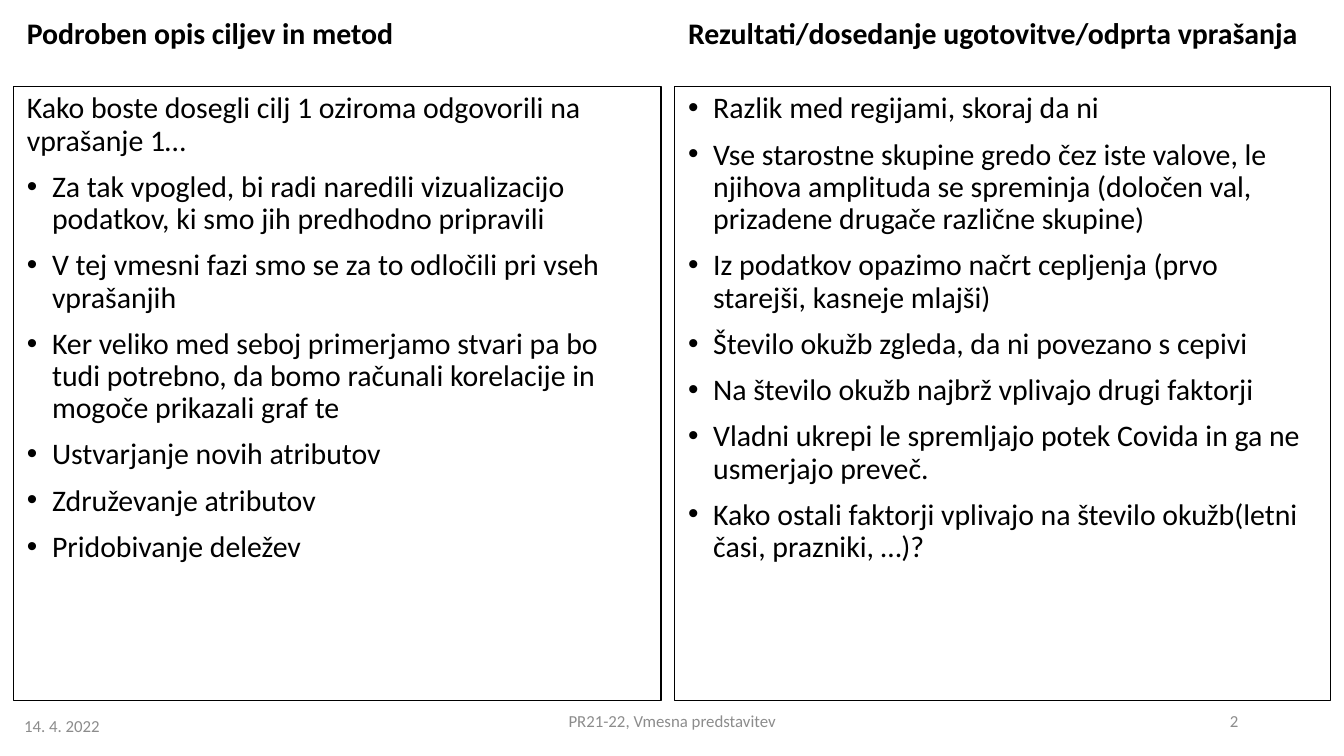
from dataclasses import dataclass

from lxml.etree import SubElement
from pptx import Presentation
from pptx.dml.color import RGBColor
from pptx.enum.text import MSO_ANCHOR as Anchor, MSO_AUTO_SIZE as AutoSize, PP_ALIGN as Align
from pptx.oxml.ns import qn
from pptx.util import Pt

BLACK = RGBColor(0x00, 0x00, 0x00)
GRAY = RGBColor(0x8C, 0x8C, 0x8C)
FONT = "Calibri"
INDENT = Pt(13.5)
HEADING_TOP, HEADING_HEIGHT = 6.5, 29.5
LIST_TOP, LIST_HEIGHT = 46.3, 329


@dataclass
class Column:
    left: float
    width: float
    heading: str
    bullets: list[str]
    intro: str = ""


@dataclass
class FooterItem:
    text: str
    left: float
    top: float
    width: float
    align: Align


COLUMNS = [
    Column(7.2, 347, "Podroben opis ciljev in metod", [
        "Za tak vpogled, bi radi naredili vizualizacijo podatkov, ki smo jih predhodno pripravili",
        "V tej vmesni fazi smo se za to odločili pri vseh vprašanjih",
        "Ker veliko med seboj primerjamo stvari pa bo tudi potrebno, da bomo računali "
        "korelacije in mogoče prikazali graf te",
        "Ustvarjanje novih atributov",
        "Združevanje atributov",
        "Pridobivanje deležev",
    ], intro="Kako boste dosegli cilj 1 oziroma odgovorili na vprašanje 1…"),
    Column(361.4, 351.4, "Rezultati/dosedanje ugotovitve/odprta vprašanja", [
        "Razlik med regijami, skoraj da ni",
        "Vse starostne skupine gredo čez iste valove, le njihova amplituda se spreminja "
        "(določen val, prizadene drugače različne skupine)",
        "Iz podatkov opazimo načrt cepljenja (prvo starejši, kasneje mlajši)",
        "Število okužb zgleda, da ni povezano s cepivi",
        "Na število okužb najbrž vplivajo drugi faktorji",
        "Vladni ukrepi le spremljajo potek Covida in ga ne usmerjajo preveč.",
        "Kako ostali faktorji vplivajo na število okužb(letni časi, prazniki, …)?",
    ]),
]

FOOTER = [
    FooterItem("14. 4. 2022", 5.8, 378, 296, Align.LEFT),
    FooterItem("PR21-22, Vmesna predstavitev", 238.5, 375.4, 243, Align.CENTER),
    FooterItem("2", 508.5, 375.4, 162, Align.RIGHT),
]


def place(box, left: float, top: float, width: float, height: float) -> None:
    box.left, box.top, box.width, box.height = Pt(left), Pt(top), Pt(width), Pt(height)


def style(para, size: float, color: RGBColor, bold: bool = False) -> None:
    for span in para.runs:
        span.font.name = FONT
        span.font.size = Pt(size)
        span.font.bold = bold
        span.font.color.rgb = color


def set_bullet(para, shown: bool) -> None:
    properties = para._p.get_or_add_pPr()
    properties.set("marL", str(INDENT if shown else 0))
    properties.set("indent", str(-INDENT if shown else 0))
    if shown:
        SubElement(properties, qn("a:buFont"), typeface="Arial")
        SubElement(properties, qn("a:buChar"), char="•")
    else:
        SubElement(properties, qn("a:buNone"))


def fill_text(box, lines: list[str], bold: bool = False, plain_lines: int = 0) -> None:
    """Write the lines as paragraphs; all after the plain ones get a bullet."""
    frame = box.text_frame
    frame.text = "\n".join(lines)
    frame.auto_size = AutoSize.NONE
    frame.vertical_anchor = Anchor.TOP
    for index, para in enumerate(frame.paragraphs):
        para.line_spacing = 0.9
        para.space_before = Pt(7.5)
        set_bullet(para, index >= plain_lines)
        style(para, 16, BLACK, bold)


def draw_column(column: Column, heading, body) -> None:
    place(heading, column.left, HEADING_TOP, column.width, HEADING_HEIGHT)
    fill_text(heading, [column.heading], bold=True, plain_lines=1)

    place(body, column.left, LIST_TOP, column.width, LIST_HEIGHT)
    body.line.color.rgb = BLACK
    body.line.width = Pt(0.75)
    intro = [column.intro] if column.intro else []
    fill_text(body, intro + column.bullets, plain_lines=len(intro))


def draw_footer(page, item: FooterItem) -> None:
    box = page.shapes.add_textbox(Pt(item.left), Pt(item.top), Pt(item.width), Pt(21.6))
    frame = box.text_frame
    frame.word_wrap = True
    frame.vertical_anchor = Anchor.MIDDLE
    frame.text = item.text
    para = frame.paragraphs[0]
    para.alignment = item.align
    style(para, 9, GRAY)


def main() -> None:
    deck = Presentation()
    deck.slide_width, deck.slide_height = Pt(720), Pt(405)

    # Comparison layout: two headings, each above a list
    page = deck.slides.add_slide(deck.slide_layouts[4])
    title, *boxes = page.placeholders
    title.element.getparent().remove(title.element)

    for column, heading, body in zip(COLUMNS, boxes[::2], boxes[1::2]):
        draw_column(column, heading, body)

    # Date, footer and page number
    for item in FOOTER:
        draw_footer(page, item)

    deck.save("out.pptx")


if __name__ == "__main__":
    main()
